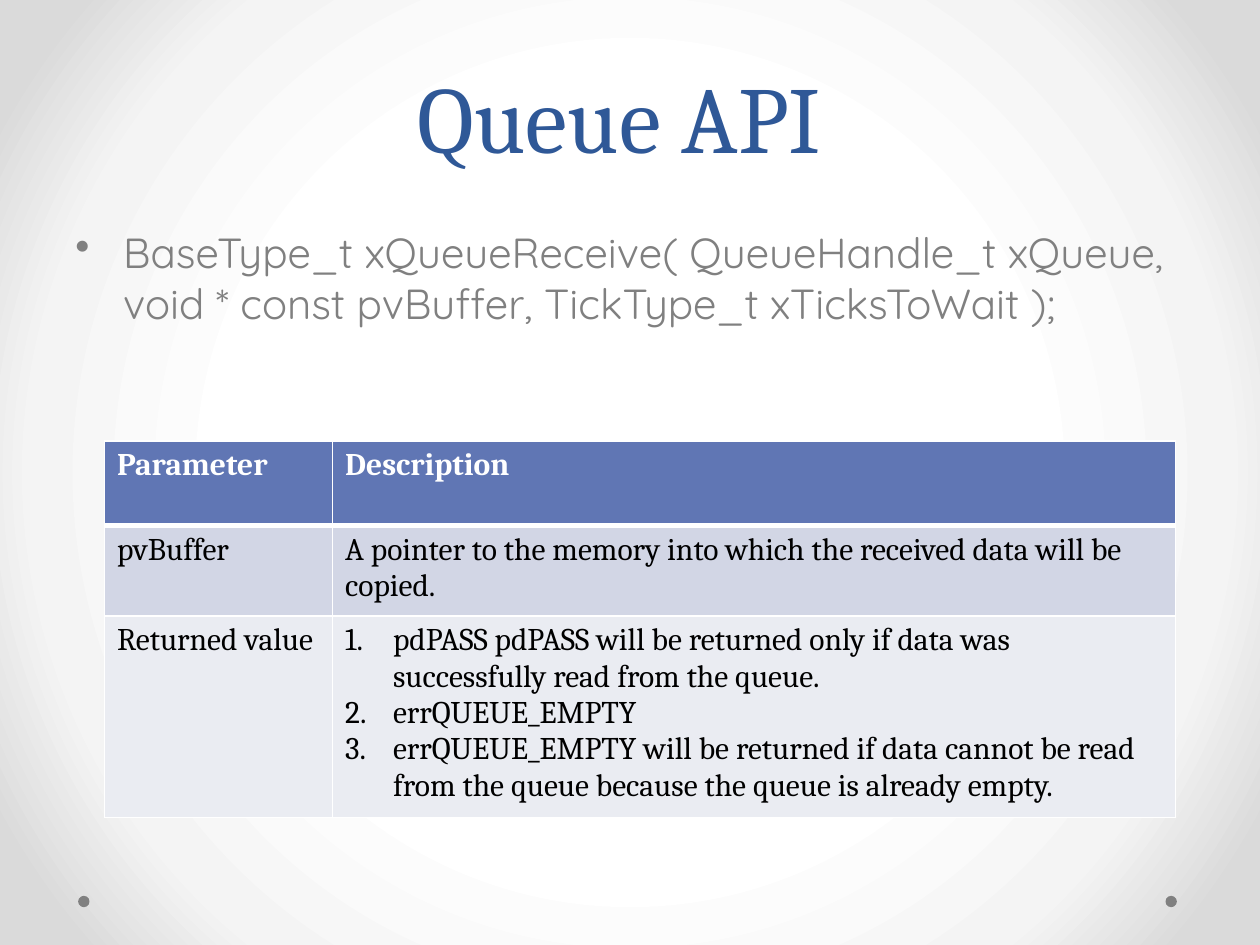
from pptx import Presentation
from pptx.dml.color import RGBColor
from pptx.enum.shapes import MSO_SHAPE as Shape
from pptx.enum.text import MSO_ANCHOR as Anchor, PP_ALIGN as Align
from pptx.oxml import parse_xml
from pptx.oxml.ns import nsdecls, qn
from pptx.util import Inches, Pt

rgb = RGBColor.from_string
GREY, WHITE = "808080", "FFFFFF"
SERIF = "Cambria"


def style(paragraph, name, size, color, bold=False):
    font = paragraph.font
    font.name, font.size, font.bold = name, Pt(size), bold
    font.color.rgb = rgb(color)


def hang(paragraph, marker):
    """Give the paragraph a hanging indent and a bullet or number."""
    props = paragraph._p.get_or_add_pPr()
    props.set("marL", str(Inches(0.38)))
    props.set("indent", str(-Inches(0.38)))
    # A bullet element belongs after spacing and before the default run style
    props.insert_element_before(
        parse_xml(f"<a:{marker} {nsdecls('a')}/>".replace("'", '"')), "a:defRPr")


prs = Presentation()
prs.slide_width, prs.slide_height = Inches(10), Inches(7.5)
slide = prs.slides.add_slide(prs.slide_layouts[6])

# Radial background
slide.background.fill.gradient()
gradient = slide._element.find(".//" + qn("a:gradFill"))
stops = "".join(f'<a:gs pos="{share}000"><a:srgbClr val="{color}"/></a:gs>'
                for share, color in ((50, WHITE), (76, "F4F4F4"), (92, "DADADA")))
gradient.getparent().replace(gradient, parse_xml(
    f'<a:gradFill {nsdecls("a")} rotWithShape="1"><a:gsLst>{stops}</a:gsLst>'
    '<a:path path="circle"><a:fillToRect l="50000" t="50000" r="50000" b="50000"/>'
    '</a:path></a:gradFill>'))

# Footer dots
for left in (9.25, 0.62):
    dot = slide.shapes.add_shape(Shape.OVAL, Inches(left), Inches(7.11),
                                 Inches(0.09), Inches(0.09))
    dot.shadow.inherit = False
    dot.fill.solid()
    dot.fill.fore_color.rgb = rgb(GREY)
    dot.line.fill.background()

# Title
title = slide.shapes.add_textbox(Inches(0.5), 0, Inches(8.83), Inches(1.42)).text_frame
title.word_wrap = True
title.vertical_anchor = Anchor.BOTTOM
heading = title.paragraphs[0]
heading.text = "Queue API"
heading.alignment = Align.CENTER
heading.line_spacing = Pt(58)
style(heading, SERIF, 54, "2F5897")

# Function signature
body = slide.shapes.add_textbox(Inches(0.5), Inches(1.75), Inches(9), Inches(4.95)).text_frame
body.word_wrap = True
signature = body.paragraphs[0]
signature.text = ("BaseType_t xQueueReceive( QueueHandle_t xQueue, "
                  "void * const pvBuffer, TickType_t xTicksToWait );")
signature.space_before = Pt(4.8)
style(signature, "Quicksand", 24, GREY)
hang(signature, "buChar char='•'")

# Parameter table: each row has a height, a fill, a text colour and its cells
rows = [
    (0.67, "6076B4", WHITE, ["Parameter"], ["Description"]),
    (0.72, "D2D6E5", "000000", ["pvBuffer"],
     ["A pointer to the memory into which the received data will be copied."]),
    (1.54, "EAECF2", "000000", ["Returned value"],
     ["pdPASS pdPASS will be returned only if data was successfully read from the queue.",
      "errQUEUE_EMPTY",
      "errQUEUE_EMPTY will be returned if data cannot be read from the queue "
      "because the queue is already empty."]),
]
parameters = slide.shapes.add_table(len(rows), 2, Inches(0.83), Inches(3.5), Inches(8.5),
                                    Inches(sum(row[0] for row in rows))).table
for column, width in zip(parameters.columns, (1.81, 6.69)):
    column.width = Inches(width)

for r, (height, fill, color, *contents) in enumerate(rows):
    parameters.rows[r].height = Inches(height)
    for c, lines in enumerate(contents):
        cell = parameters.cell(r, c)
        cell.fill.solid()
        cell.fill.fore_color.rgb = rgb(fill)
        cell.text = "\n".join(lines)
        for paragraph in cell.text_frame.paragraphs:
            style(paragraph, SERIF, 18, color, bold=r == 0)
            if len(lines) > 1:
                hang(paragraph, "buAutoNum type='arabicPeriod'")
        # The rule between the header and the first row is thicker
        weights = {"L": 1, "R": 1, "T": 3 if r == 1 else 1, "B": 3 if r == 0 else 1}
        for i, (side, weight) in enumerate(weights.items()):
            cell._tc.get_or_add_tcPr().insert(i, parse_xml(
                f'<a:ln{side} {nsdecls("a")} w="{Pt(weight)}"><a:solidFill>'
                f'<a:srgbClr val="{WHITE}"/></a:solidFill></a:ln{side}>'))

prs.save("out.pptx")
